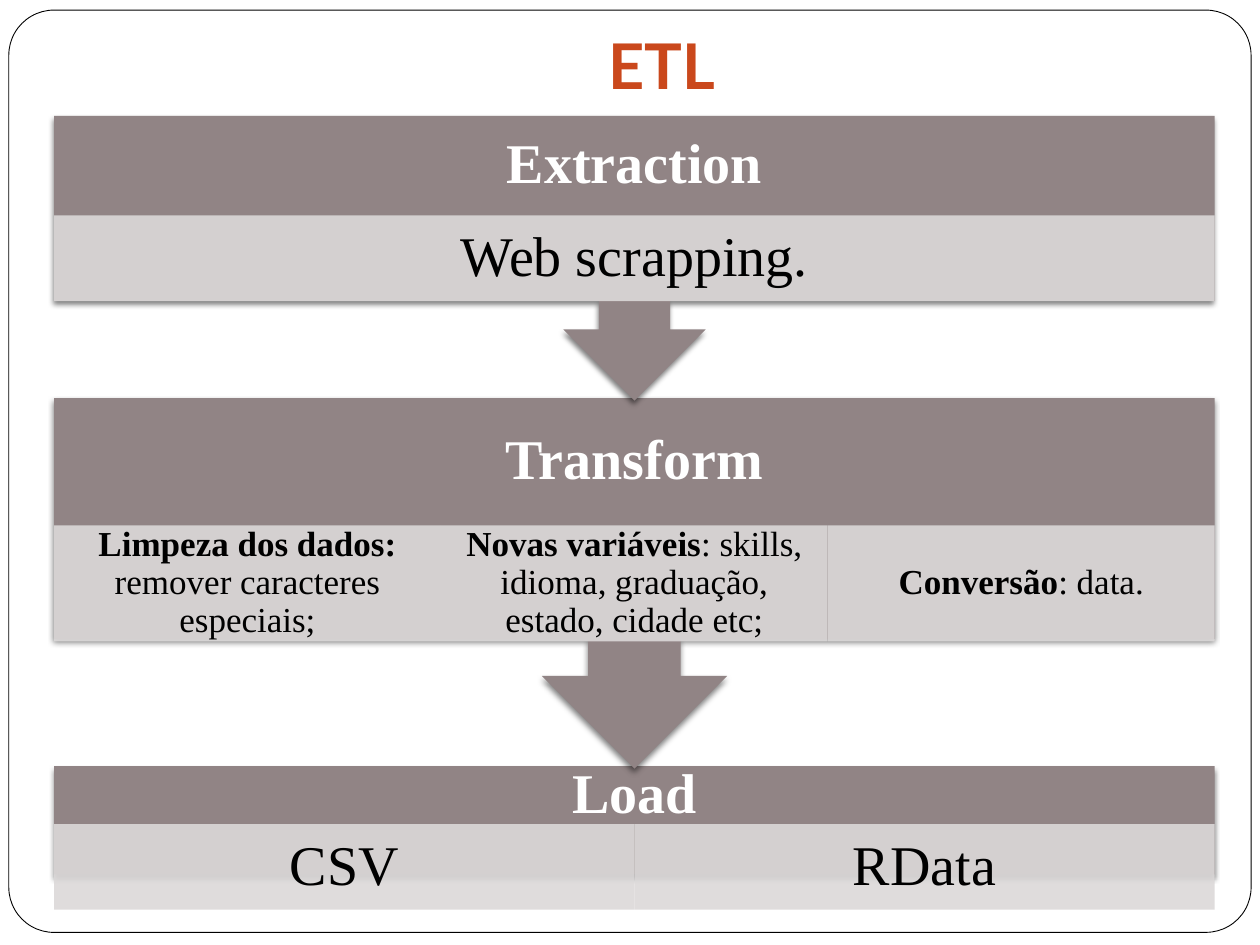
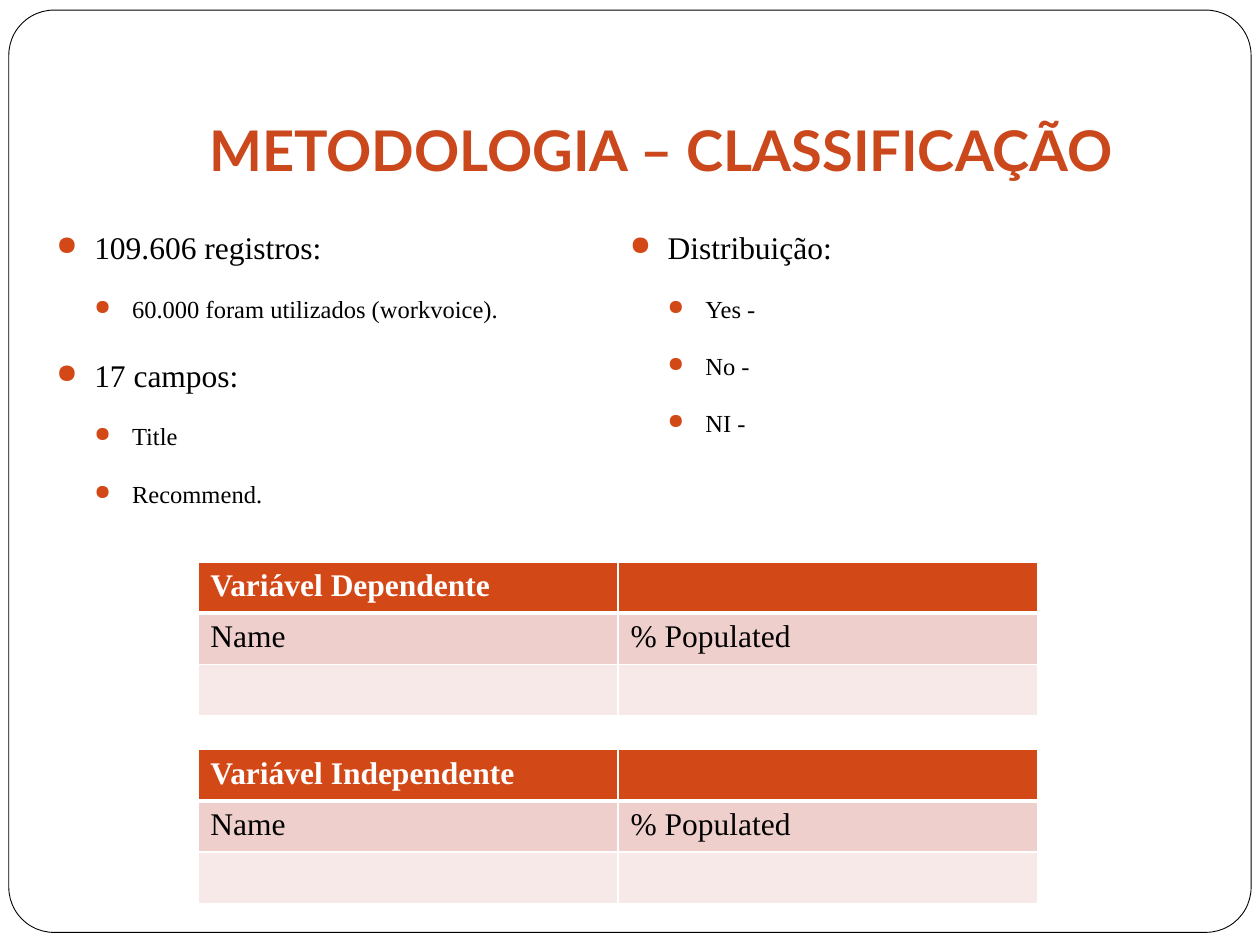
import pptx
import pptx.dml.color
import pptx.enum.shapes
import pptx.enum.text
import pptx.oxml
import pptx.oxml.ns
import pptx.util
from lxml import etree

Inches, Pt = pptx.util.Inches, pptx.util.Pt
SHAPE = pptx.enum.shapes.MSO_SHAPE
ALIGN = pptx.enum.text.PP_ALIGN
ANCHOR = pptx.enum.text.MSO_ANCHOR
qn = pptx.oxml.ns.qn

COLORS = {
    "white": "FFFFFF", "black": "000000", "title": "CA481C",
    "accent": "D34817", "stage": "918485", "detail": "DCD9D9",
    "row_dark": "EFCFCC", "row_light": "F7E9E8",
}
TITLE_FONT, BODY_FONT = "Lato", "Times New Roman"


# ---- Shared helpers ----
def rgb(name):
    return pptx.dml.color.RGBColor.from_string(COLORS[name])


def add_xml(parent, tag, **attributes):
    element = etree.SubElement(parent, qn(tag))
    for key, value in attributes.items():
        element.set(key, str(value))
    return element


def style(paragraph, size, color="black", bold=False, font=BODY_FONT):
    paragraph.font.name = font
    paragraph.font.size = Pt(size)
    paragraph.font.bold = bold
    paragraph.font.color.rgb = rgb(color)


def add_panel(slide, kind, box, fill, line=None):
    panel = slide.shapes.add_shape(kind, *map(Inches, box))
    panel.shadow.inherit = False
    panel.fill.solid()
    panel.fill.fore_color.rgb = rgb(fill)
    if line:
        panel.line.color.rgb = rgb(line)
        panel.line.width = Pt(0.5)
    else:
        panel.line.fill.background()
    return panel


def set_frame(shape, anchor, insets):
    frame = shape.text_frame
    frame.word_wrap = True
    frame.vertical_anchor = anchor
    (frame.margin_left, frame.margin_top,
     frame.margin_right, frame.margin_bottom) = map(Inches, insets)
    return frame


def add_text(slide, box, anchor=ANCHOR.TOP, insets=(0.1, 0.05, 0.1, 0.05)):
    return set_frame(slide.shapes.add_textbox(*map(Inches, box)), anchor, insets)


def add_base(deck, title, height, size):
    """New slide with the rounded frame and the title."""
    slide = deck.slides.add_slide(deck.slide_layouts[6])
    border = add_panel(slide, SHAPE.ROUNDED_RECTANGLE, (0.07, 0.08, 9.86, 7.32),
                       "white", "black")
    border.adjustments[0] = 0.049
    heading = add_text(slide, (1, 0.3, 8.5, height), ANCHOR.BOTTOM,
                       (0.1, 0.05, 0.1, 0.1)).paragraphs[0]
    heading.text = title
    heading.alignment = ALIGN.CENTER
    style(heading, size, "title", True, TITLE_FONT)
    return slide


# ---- ETL stages ----
def add_soft_shadow(shape):
    effects = shape._element.spPr.find(qn("a:effectLst"))
    shadow = add_xml(effects, "a:outerShdw", blurRad=Pt(3), dist=Pt(2),
                     dir=5400000, rotWithShape=0)
    color = add_xml(shadow, "a:srgbClr", val=COLORS["black"])
    add_xml(color, "a:alpha", val=50000)


def add_detail(slide, box, runs, size, side_inset):
    detail = add_panel(slide, SHAPE.RECTANGLE, box, "detail")
    color = detail._element.spPr.find(qn("a:solidFill"))[0]
    add_xml(color, "a:alpha", val=90000)
    frame = set_frame(detail, ANCHOR.MIDDLE, (side_inset, 0.03, side_inset, 0.03))
    paragraph = frame.paragraphs[0]
    paragraph.alignment = ALIGN.CENTER
    paragraph.line_spacing = 0.9
    style(paragraph, size)
    for text, bold in runs:
        run = paragraph.add_run()
        run.text = text
        run.font.bold = bold


def add_stage(slide, box, name, header_height, detail_height, details,
              size=32, side_inset=0.25, arrow=True):
    left, top, width, _ = box
    kind = SHAPE.UP_ARROW_CALLOUT if arrow else SHAPE.RECTANGLE
    body = add_panel(slide, kind, box, "stage")
    body.rotation = 180 if arrow else 0
    add_soft_shadow(body)
    header = add_text(slide, (left, top, width, header_height),
                      ANCHOR.MIDDLE, (0.25, 0, 0.25, 0)).paragraphs[0]
    header.text = name
    header.alignment = ALIGN.CENTER
    header.line_spacing = 0.9
    style(header, 32, "white", True)
    # Details share the width equally below the header
    share = width / len(details)
    for i, runs in enumerate(details):
        add_detail(slide, (left + i * share, top + header_height, share, detail_height),
                   runs, size, side_inset)


def build_etl(deck):
    slide = add_base(deck, "ETL", 0.61, 36)
    left, width = 0.43, 9.21
    # Last stage first, so that each arrow tip lies over the next stage
    add_stage(slide, (left, 6.08, width, 0.86), "Load", 0.46, 0.68,
              [[("CSV", False)], [("RData", False)]], arrow=False)
    add_stage(slide, (left, 3.16, width, 2.94), "Transform", 1.01, 0.92, [
        [("Limpeza dos dados: ", True), ("remover caracteres especiais;", False)],
        [("Novas variáveis", True),
         (": skills, idioma, graduação, estado, cidade etc;", False)],
        [("Conversão", True), (": data.", False)],
    ], size=20, side_inset=0.16)
    add_stage(slide, (left, 0.92, width, 2.26), "Extraction", 0.79, 0.68,
              [[("Web scrapping.", False)]])


# ---- Classification ----
def add_bullets(slide, box, items):
    frame = add_text(slide, box)
    for i, (level, text) in enumerate(items):
        paragraph = frame.paragraphs[0] if i == 0 else frame.add_paragraph()
        paragraph.text = text
        paragraph.level = level
        paragraph.alignment = ALIGN.LEFT
        paragraph.line_spacing = 1.6
        paragraph.space_before = Pt(5.8)
        properties = paragraph._p.get_or_add_pPr()
        properties.set("marL", str(Inches(0.3 * (level + 1))))
        properties.set("indent", str(Inches(-0.3)))
        bullet_color = add_xml(properties, "a:buClr")
        add_xml(bullet_color, "a:srgbClr", val=COLORS["accent"])
        add_xml(properties, "a:buSzPct", val=85000)
        add_xml(properties, "a:buChar", char="●")
        style(paragraph, 14 if level else 18)


def set_borders(cell, row):
    """White cell borders, with a thick rule below the header row."""
    properties = cell._tc.get_or_add_tcPr()
    widths = {"L": 1, "R": 1, "T": 3 if row == 1 else 1, "B": 3 if row == 0 else 1}
    for side, width in widths.items():
        line = add_xml(properties, "a:ln" + side, w=Pt(width))
        add_xml(add_xml(line, "a:solidFill"), "a:srgbClr", val=COLORS["white"])


def add_variable_table(slide, box, heading):
    rows = [(heading, ""), ("Name", "% Populated"), ("", "")]
    fills = ["accent", "row_dark", "row_light"]
    table = slide.shapes.add_table(len(rows), 2, *map(Inches, box)).table
    for r, (texts, fill) in enumerate(zip(rows, fills)):
        for c, text in enumerate(texts):
            cell = table.cell(r, c)
            set_borders(cell, r)
            cell.fill.solid()
            cell.fill.fore_color.rgb = rgb(fill)
            cell.text = text
            style(cell.text_frame.paragraphs[0], 18,
                  "white" if r == 0 else "black", r == 0)


def build_classification(deck):
    slide = add_base(deck, "METODOLOGIA – CLASSIFICAÇÃO", 1.25, 32)
    add_bullets(slide, (0.35, 1.58, 4.17, 2.48), [
        (0, "109.606 registros:"),
        (1, "60.000 foram utilizados (workvoice)."),
        (0, "17 campos:"),
        (1, "Title"),
        (1, "Recommend."),
    ])
    add_bullets(slide, (4.9, 1.58, 4.58, 2.32), [
        (0, "Distribuição:"), (1, "Yes -"), (1, "No -"), (1, "NI -"),
    ])
    for top, heading in [(4.46, "Variável Dependente"), (5.95, "Variável Independente")]:
        add_variable_table(slide, (1.57, top, 6.67, 1.22), heading)


presentation = pptx.Presentation()
presentation.slide_width, presentation.slide_height = Inches(10), Inches(7.5)
build_etl(presentation)
build_classification(presentation)
presentation.save("out.pptx")
